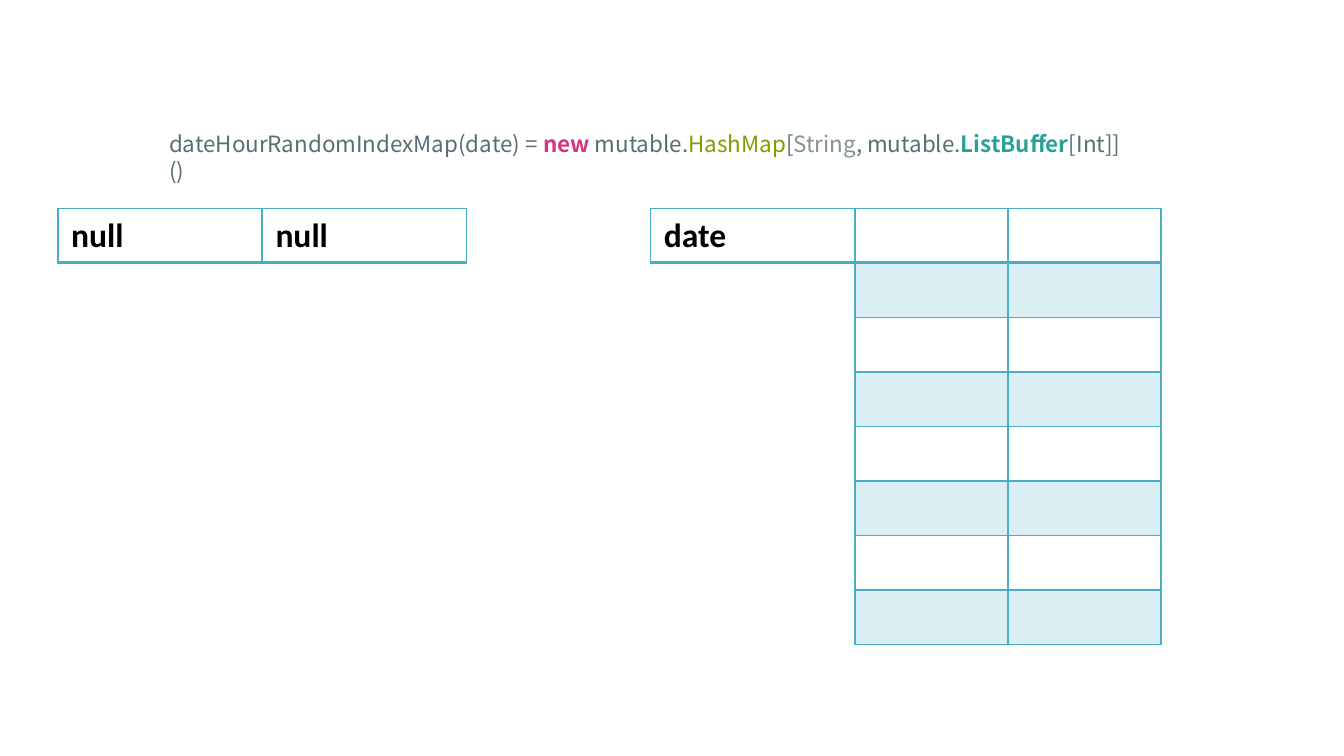
from lxml import etree
from pptx import Presentation
from pptx.dml.color import RGBColor
from pptx.enum.text import MSO_AUTO_SIZE as AutoSize
from pptx.oxml.ns import qn
from pptx.util import Inches, Pt

COLORS = {
    "border": "4BACC6", "band": "DBEEF4", "label": "000000",
    "plain": "586E75", "keyword": "D33682", "type": "859900",
    "string": "839496", "buffer": "2AA198",
}
CODE = [
    ("dateHourRandomIndexMap(date) = ", "plain", False),
    ("new ", "keyword", True),
    ("mutable.", "plain", False),
    ("HashMap", "type", False),
    ("[", "plain", False),
    ("String", "string", False),
    (", mutable.", "plain", False),
    ("ListBuffer", "buffer", True),
    ("[Int]]()", "plain", False),
]
TABLE_TOP = 1.55
ROW_HEIGHT = 3.24 / 8
LABEL_WIDTH = 1.52


def style_font(span, name, size, color, bold):
    span.font.name = name
    span.font.size = Pt(size)
    span.font.bold = bold
    span.font.color.rgb = RGBColor.from_string(COLORS[color])


def add_borders(cell, bottom):
    properties = cell._tc.get_or_add_tcPr()
    for side, width in (("L", 1), ("R", 1), ("T", 1), ("B", bottom)):
        line = etree.SubElement(properties, qn(f"a:ln{side}"), w=str(Pt(width)))
        fill = etree.SubElement(line, qn("a:solidFill"))
        etree.SubElement(fill, qn("a:srgbClr"), val=COLORS["border"])


def add_grid(page, left, top, width, height, rows, columns):
    table = page.shapes.add_table(rows, columns, Inches(left), Inches(top),
                                  Inches(width), Inches(height)).table
    table.horz_banding = False
    table.first_row = False
    for row in range(rows):
        for column in range(columns):
            cell = table.cell(row, column)
            add_borders(cell, 2 if row == 0 else 1)
            if row % 2:
                cell.fill.solid()
                cell.fill.fore_color.rgb = RGBColor.from_string(COLORS["band"])
            else:
                cell.fill.background()
    return table


def add_label(page, left, top, text):
    table = add_grid(page, left, top, LABEL_WIDTH, ROW_HEIGHT, 1, 1)
    para = table.cell(0, 0).text_frame.paragraphs[0]
    para.text = text
    style_font(para.runs[0], "Calibri", 18, "label", True)


def add_code(page, left, top, width, height):
    box = page.shapes.add_textbox(Inches(left), Inches(top), Inches(width), Inches(height))
    frame = box.text_frame
    frame.word_wrap = True
    frame.auto_size = AutoSize.SHAPE_TO_FIT_TEXT
    for text, color, bold in CODE:
        span = frame.paragraphs[0].add_run()
        span.text = text
        style_font(span, "Noto Sans CJK SC", 12, color, bold)


def main():
    deck = Presentation()
    deck.slide_width = Inches(10)
    deck.slide_height = Inches(10 * 9 / 16)
    page = deck.slides.add_slide(deck.slide_layouts[6])
    add_grid(page, 6.36, TABLE_TOP, 2.28, 8 * ROW_HEIGHT, 8, 2)
    for left, text in ((4.84, "date"), (0.43, "null"), (0.43 + LABEL_WIDTH, "null")):
        add_label(page, left, TABLE_TOP, text)
    add_code(page, 1.16, 0.92, 7.38, 0.3)
    deck.save("out.pptx")


if __name__ == "__main__":
    main()
